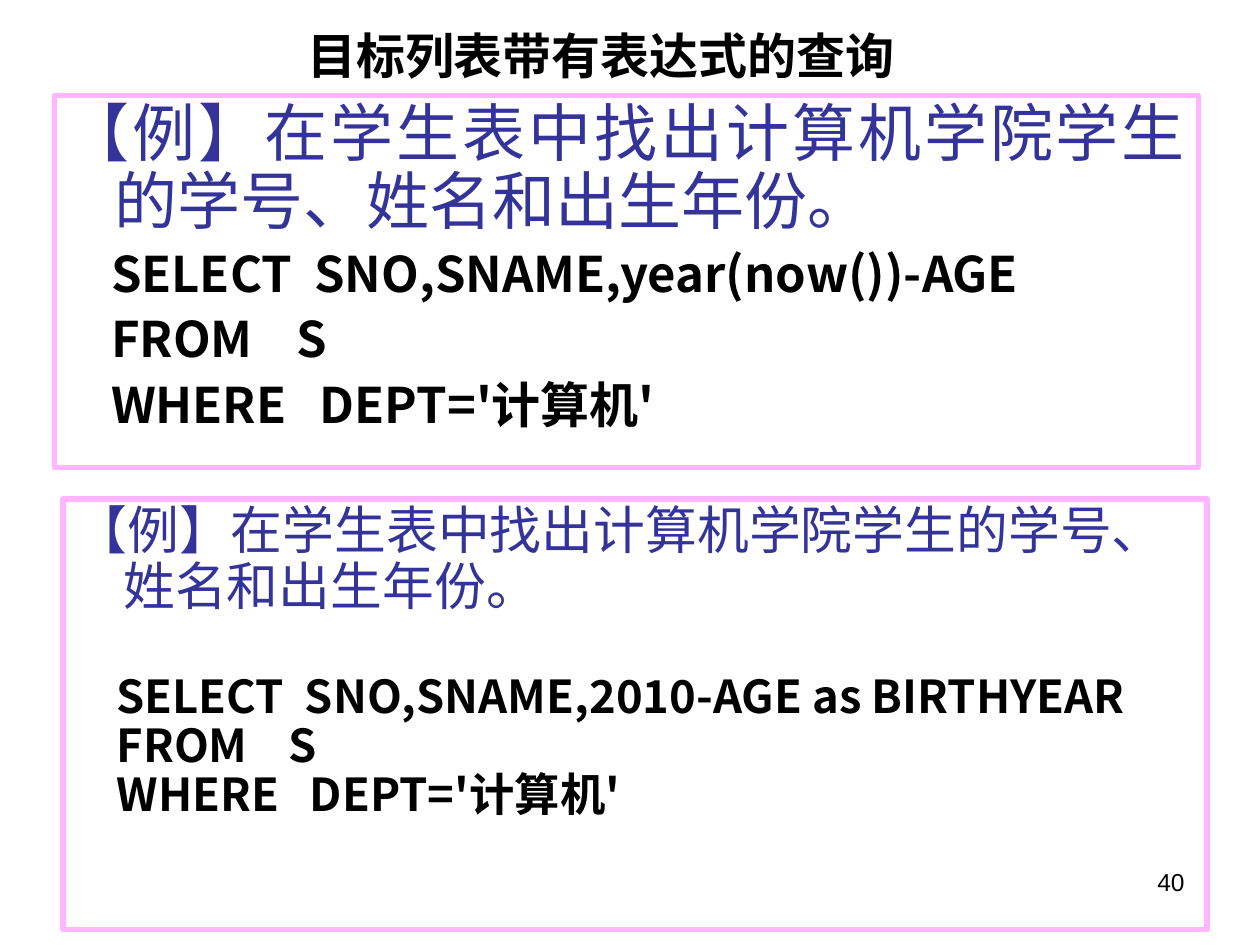
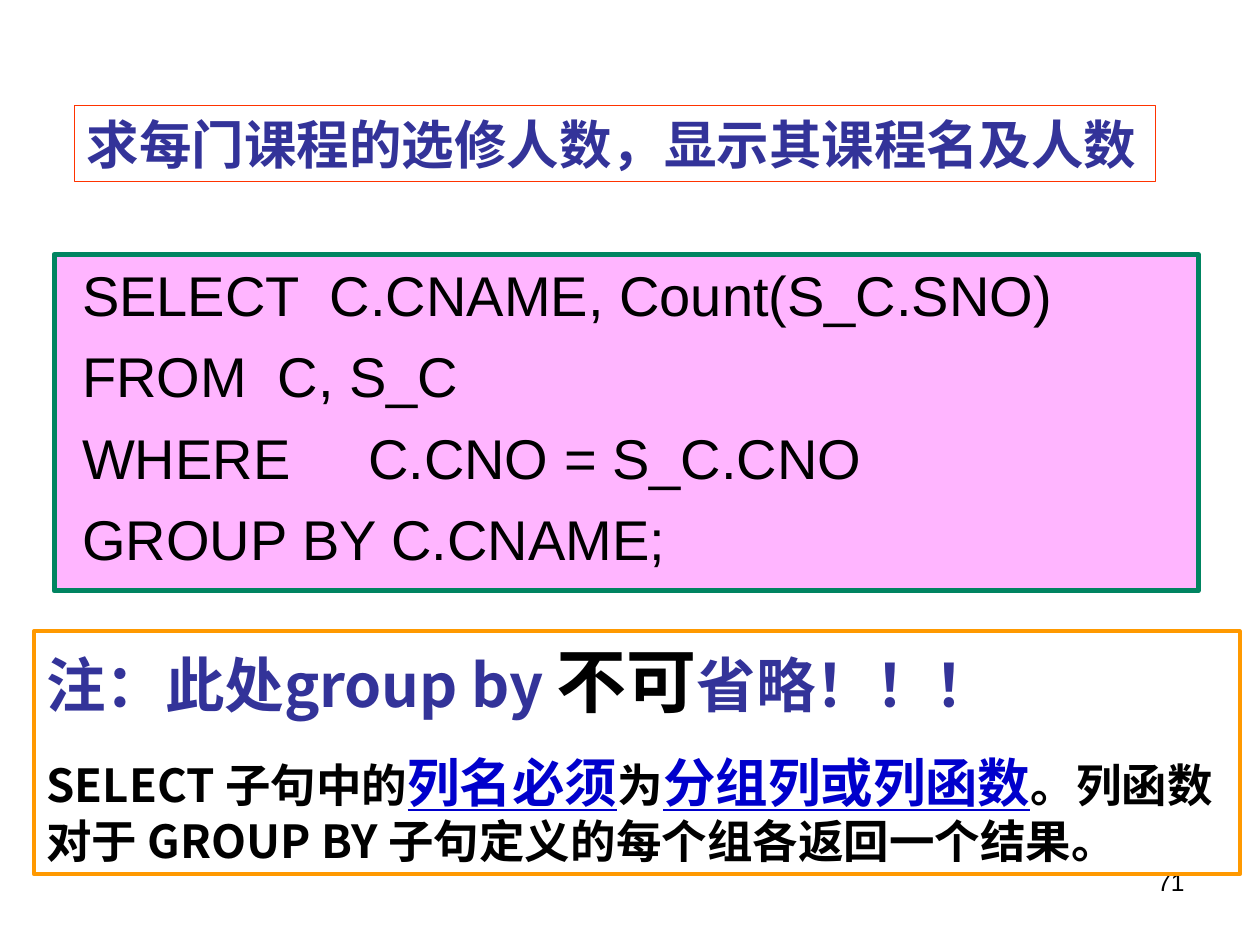
import pptx
import pptx.util
import pptx.dml.color
import pptx.enum.shapes
import pptx.enum.text
import pptx.oxml.ns
from dataclasses import dataclass
from lxml import etree
from typing import Optional

RGB = pptx.dml.color.RGBColor
ALIGN = pptx.enum.text.PP_ALIGN
Pt = pptx.util.Pt

# Shared colours and fonts
BLACK = RGB(0x00, 0x00, 0x00)
INDIGO = RGB(0x33, 0x33, 0x99)
BLUE = RGB(0x00, 0x00, 0xCC)
PINK = RGB(0xFF, 0xB5, 0xFF)
GREEN = RGB(0x00, 0x84, 0x61)
ORANGE = RGB(0xFF, 0x99, 0x00)
RED = RGB(0xFF, 0x33, 0x00)
SANS, SERIF, PLAIN = "Noto Sans CJK SC", "Times New Roman", "Arial"

# Grid: 100 columns by 75 rows of square cells
COLS, ROWS = 100, 75
CELL = pptx.util.Inches(0.1)
HANG = 3.8
LEFT, WIDE = 4.3, 90.8


@dataclass
class Run:
    text: str
    size: float
    color: RGB = BLACK
    font: str = SANS
    bold: bool = True
    under: bool = False


@dataclass
class Para:
    runs: list[Run]
    gap: float = 0
    align: ALIGN = ALIGN.LEFT
    pitch: float = 1.0
    hang: float = 0


@dataclass
class Box:
    at: tuple[float, float, float, float]
    paras: list[Para]
    edge: Optional[RGB] = None
    weight: float = 3
    fill: Optional[RGB] = None
    wrap: bool = True


def cells(count: float) -> int:
    return round(count * CELL)


def add_run(para, item: Run) -> None:
    run = para.add_run()
    run.text = item.text
    font = run.font
    font.size, font.name, font.bold = Pt(item.size), item.font, item.bold
    font.underline = item.under
    font.color.rgb = item.color
    props = run._r.get_or_add_rPr()
    etree.SubElement(props, pptx.oxml.ns.qn("a:ea"), typeface=SANS)


def add_text(frame, box: Box) -> None:
    frame.word_wrap = box.wrap
    frame.vertical_anchor = pptx.enum.text.MSO_ANCHOR.TOP
    for spot, item in enumerate(box.paras):
        para = frame.add_paragraph() if spot else frame.paragraphs[0]
        para.alignment, para.line_spacing = item.align, item.pitch
        if spot:
            para.space_before = Pt(item.gap)
        if item.hang:
            props = para._p.get_or_add_pPr()
            props.set("marL", str(cells(item.hang)))
            props.set("indent", str(-cells(item.hang)))
        for run in item.runs:
            add_run(para, run)


def add_box(slide, box: Box) -> None:
    place = [cells(side) for side in box.at]
    if box.edge is None:
        shape = slide.shapes.add_textbox(*place)
    else:
        rect = pptx.enum.shapes.MSO_SHAPE.RECTANGLE
        shape = slide.shapes.add_shape(rect, *place)
        shape.shadow.inherit = False
        shape.line.color.rgb = box.edge
        shape.line.width = Pt(box.weight)
        if box.fill is None:
            shape.fill.background()
        else:
            shape.fill.solid()
            shape.fill.fore_color.rgb = box.fill
    add_text(shape.text_frame, box)


def page(text: str) -> Box:
    run = Run(text, 14, font=PLAIN, bold=False)
    return Box((71.7, 68.3, 23.3, 5.2), [Para([run], align=ALIGN.RIGHT)])


def task(size: float, align: ALIGN) -> Para:
    text = "【例】在学生表中找出计算机学院学生的学号、姓名和出生年份。"
    return Para([Run(text, size, INDIGO, bold=False)], 0, align, 0.9, HANG)


def code(lines: list[str], size: float, gap: float, pitch: float = 0.9,
         font: str = SANS, bold: bool = True) -> list[Para]:
    return [Para([Run(line, size, font=font, bold=bold)], gap,
                 pitch=pitch, hang=HANG) for line in lines]


# Slide 1: two ways to compute the birth year
TAIL = ["    FROM    S", "    WHERE   DEPT='计算机'"]
first = ["    SELECT  SNO,SNAME,year(now())-AGE"] + TAIL
second = code(["    SELECT  SNO,SNAME,2010-AGE as BIRTHYEAR"] + TAIL, 25.9, 0)
second[0].gap = 33
BIRTH = [
    page("40"),
    Box((LEFT, 7.6, WIDE, 29.5),
        [task(36, ALIGN.JUSTIFY)] + code(first, 28, 7), PINK),
    Box((5, 39.6, WIDE, 34.2), [task(29.6, ALIGN.LEFT)] + second, PINK),
    Box((23.4, 1.5, 48.6, 5.7),
        [Para([Run("目标列表带有表达式的查询", 28, font=SERIF)])], wrap=False),
]

# Slide 2: grouping and its rule
query = [" SELECT  C.CNAME, Count(S_C.SNO)", " FROM  C, S_C",
         " WHERE     C.CNO = S_C.CNO", " GROUP BY C.CNAME;"]
note = [
    Para([Run("注：此处group by ", 34, INDIGO), Run("不可", 40),
          Run("省略！！！", 34, INDIGO)]),
    Para([Run("SELECT 子句中的", 26),
          Run("列名必须", 30, BLUE, under=True),
          Run("为", 26),
          Run("分组列或列函数", 30, BLUE, under=True),
          Run("。列函数对于 GROUP BY 子句定义的每个组各返回一个结果。", 26)],
         gap=16.2),
]
GROUP = [
    page("71"),
    Box((LEFT, 20.2, WIDE, 26.7),
        code(query, 32, 8, 1.0, PLAIN, False), GREEN, fill=PINK),
    Box((2.7, 50.1, 95.7, 19.3), note, ORANGE, 2.25),
    Box((5.9, 8.4, 85.8, 6),
        [Para([Run("求每门课程的选修人数，显示其课程名及人数", 30, INDIGO, SERIF)])],
        RED, 0.75),
]


def main() -> None:
    deck = pptx.Presentation()
    deck.slide_width, deck.slide_height = cells(COLS), cells(ROWS)
    for boxes in (BIRTH, GROUP):
        slide = deck.slides.add_slide(deck.slide_layouts[6])
        for box in boxes:
            add_box(slide, box)
    deck.save("out.pptx")


if __name__ == "__main__":
    main()
